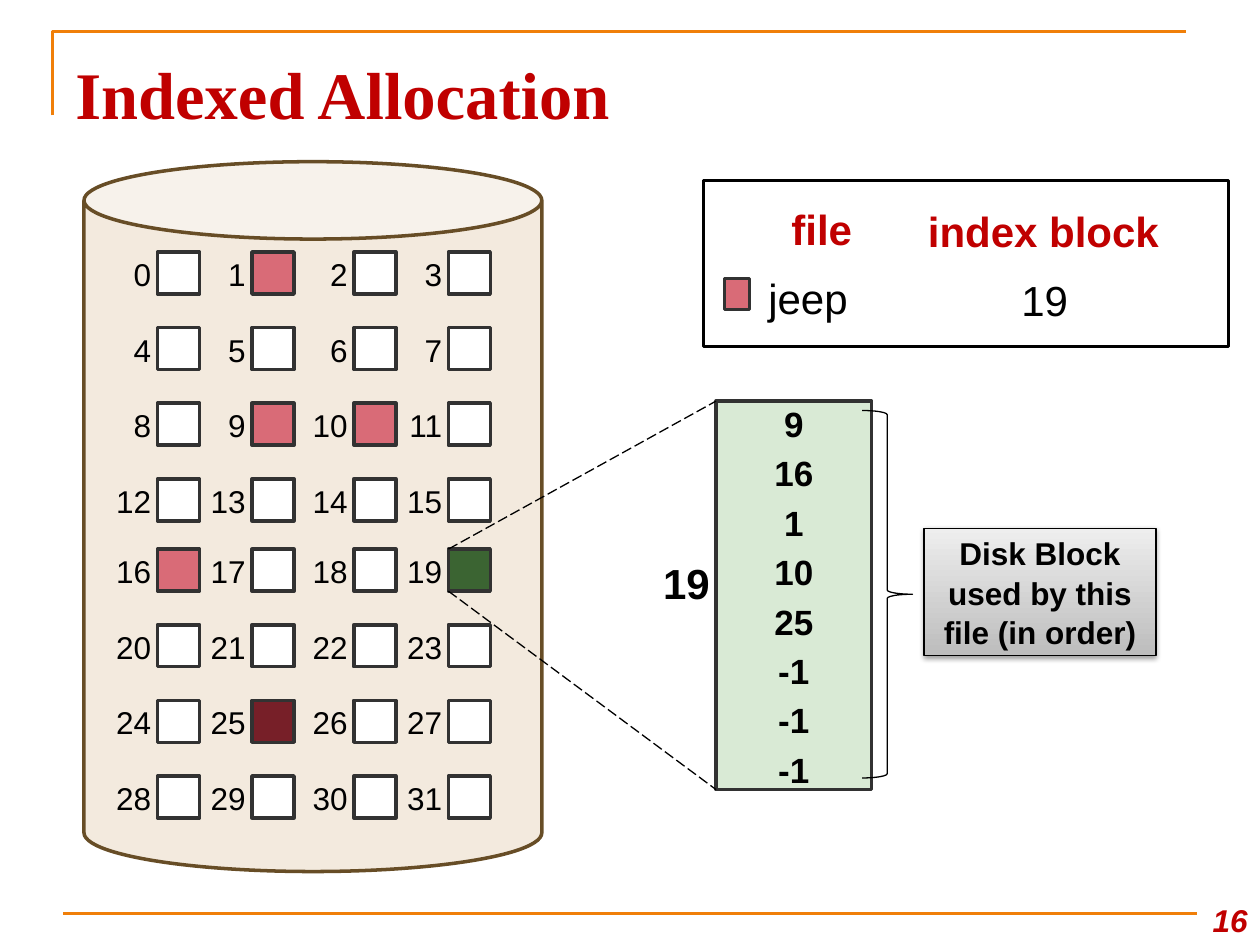
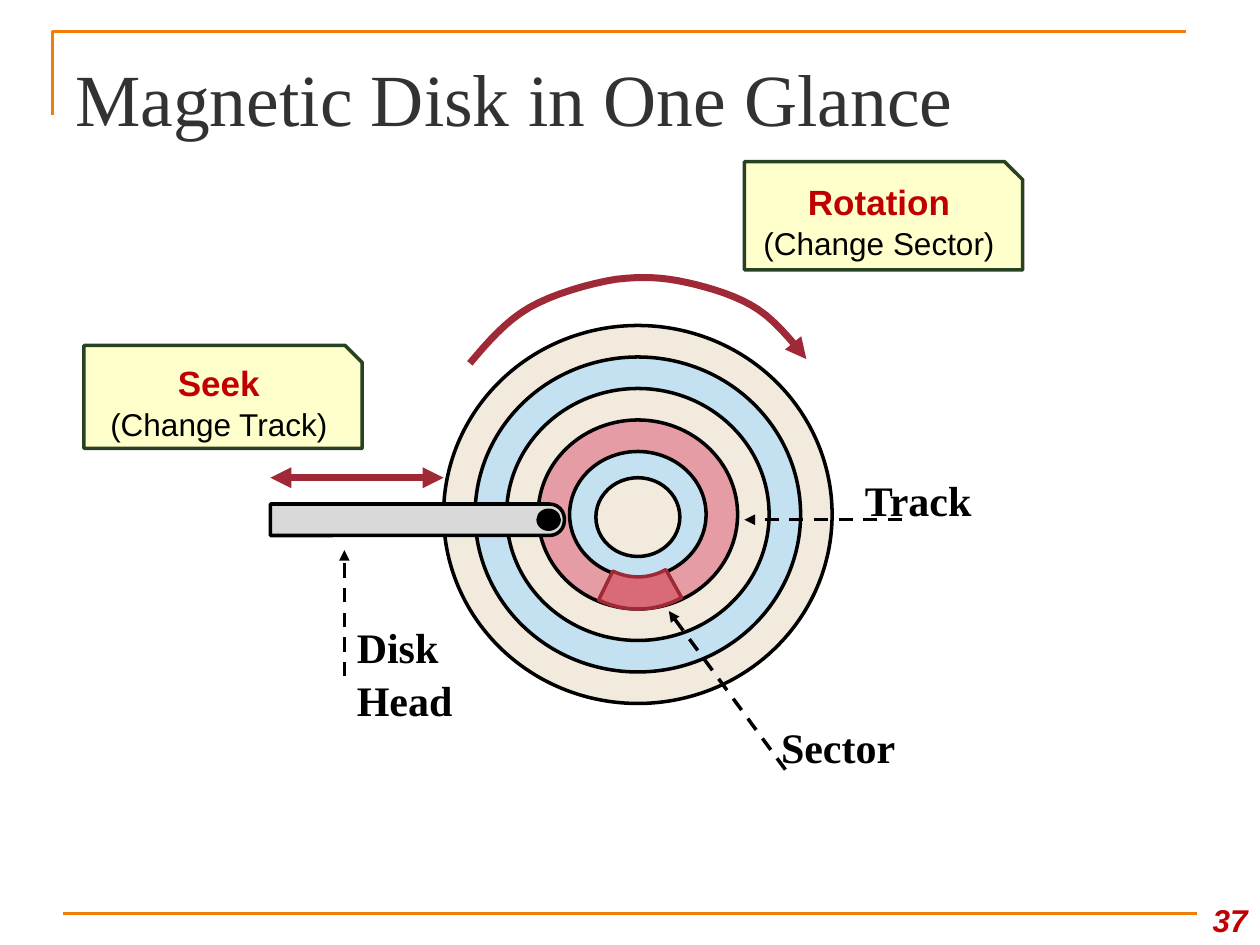
from collections import namedtuple
from dataclasses import dataclass

from lxml import etree
from pptx import Presentation
from pptx.dml.color import RGBColor
from pptx.enum.dml import MSO_LINE
from pptx.enum.shapes import MSO_CONNECTOR, MSO_SHAPE
from pptx.enum.text import MSO_ANCHOR, PP_ALIGN
from pptx.oxml.ns import qn
from pptx.util import Inches, Pt

RECT, CAN, BRACE = MSO_SHAPE.RECTANGLE, MSO_SHAPE.CAN, MSO_SHAPE.RIGHT_BRACE
OVAL, ARC = MSO_SHAPE.OVAL, MSO_SHAPE.BLOCK_ARC
ROUND_END, SNIPPED = MSO_SHAPE.ROUND_2_SAME_RECTANGLE, MSO_SHAPE.SNIP_1_RECTANGLE
STRAIGHT = MSO_CONNECTOR.STRAIGHT
DASH, LONG_DASH = MSO_LINE.DASH, MSO_LINE.LONG_DASH
TOP, MIDDLE, BOTTOM = MSO_ANCHOR.TOP, MSO_ANCHOR.MIDDLE, MSO_ANCHOR.BOTTOM
LEFT, CENTER, RIGHT = PP_ALIGN.LEFT, PP_ALIGN.CENTER, PP_ALIGN.RIGHT

# The slide is a grid of 120 columns by 90 rows of square cells
WIDTH, HEIGHT, COLUMNS = Inches(10), Inches(7.5), 120
CELL = WIDTH // COLUMNS


@dataclass(frozen=True)
class Theme:
    sans: str = "Arial"
    serif: str = "Times New Roman"
    orange: str = "F07F09"
    red: str = "C00000"
    crimson: str = "9F2936"
    maroon: str = "771F28"
    rose: str = "D96B77"
    pink: str = "E69CA4"
    sand: str = "F3EADE"
    brown: str = "674D26"
    sky: str = "C4E1F2"
    green: str = "3B6432"
    mint: str = "D9EAD5"
    pine: str = "274221"
    cream: str = "FFFFCC"
    silver: str = "D9D9D9"
    shade_dark: str = "BDBDBD"
    shade_light: str = "EEEEEE"
    charcoal: str = "323232"
    black: str = "000000"
    white: str = "FFFFFF"
    large: int = 24
    medium: int = 20
    small: int = 18
    leading: float = 1.05


THEME = Theme()


class Box(namedtuple("Box", "x y w h")):
    """An area of the grid; its contents are placed from its top left corner."""

    def area(self, x, y, w, h):
        return Box(self.x + x, self.y + y, w, h)

    def point(self, x, y):
        return self.x + x, self.y + y


def emu(*lengths):
    return [round(length * CELL) for length in lengths]


def colour(code):
    return RGBColor.from_string(code)


def write(shape, text, size=THEME.small, color=THEME.black, font=THEME.sans, bold=False,
          italic=False, align=LEFT, leading=THEME.leading, before=0, after=0, indent=0):
    """Add one paragraph to the shape."""
    frame = shape.text_frame
    para = frame.add_paragraph() if frame.text else frame.paragraphs[0]
    para.alignment, para.line_spacing = align, leading
    para.space_before, para.space_after = Pt(before), Pt(after)
    if indent:
        para._p.get_or_add_pPr().set("marL", str(emu(indent)[0]))
    span = para.add_run()
    span.text = text
    span.font.name, span.font.size = font, Pt(size)
    span.font.bold, span.font.italic = bold, italic
    span.font.color.rgb = colour(color)


def set_frame(shape, anchor, margins=(1.2, 0.6, 1.2, 0.6)):
    frame = shape.text_frame
    frame.word_wrap, frame.vertical_anchor = True, anchor
    (frame.margin_left, frame.margin_top,
     frame.margin_right, frame.margin_bottom) = emu(*margins)


def add_text(page, box, text, anchor=TOP, margins=(1.2, 0.6, 1.2, 0.6), **form):
    shape = page.shapes.add_textbox(*emu(*box))
    set_frame(shape, anchor, margins)
    write(shape, text, **form)
    return shape


def set_line(line, color, weight, dash=None, head=False, tail=False):
    line.color.rgb, line.width = colour(color), Pt(weight)
    if dash:
        line.dash_style = dash
    for end, wanted in (("a:headEnd", head), ("a:tailEnd", tail)):
        if wanted:
            etree.SubElement(line._get_or_add_ln(), qn(end), type="triangle")


def add_shape(page, kind, box, fill=None, line=THEME.black, weight=2, adjust=(), turn=0):
    shape = page.shapes.add_shape(kind, *emu(*box))
    shape.shadow.inherit = False
    shape.rotation = turn
    for index, value in enumerate(adjust):
        shape.adjustments[index] = value
    if fill:
        shape.fill.solid()
        shape.fill.fore_color.rgb = colour(fill)
    else:
        shape.fill.background()
    set_line(shape.line, line, weight)
    set_frame(shape, MIDDLE)
    return shape


def add_line(page, start, end, color=THEME.black, weight=2, **ends):
    line = page.shapes.add_connector(STRAIGHT, *emu(*start, *end))
    set_line(line.line, color, weight, **ends)
    etree.SubElement(line._element.spPr, qn("a:effectLst"))


def add_curve(page, points, color, weight, **ends):
    start, *others = [emu(*point) for point in points]
    builder = page.shapes.build_freeform(*start)
    builder.add_line_segments(others, close=False)
    shape = builder.convert_to_shape()
    shape.shadow.inherit = False
    shape.fill.background()
    set_line(shape.line, color, weight, **ends)


def add_page(deck, title, number, **title_form):
    """Blank page with the shared frame, title, footer rule and number."""
    page = deck.slides.add_slide(deck.slide_layouts[6])
    add_curve(page, [(5, 11), (5, 3), (113, 3)], THEME.orange, 1.5)
    add_line(page, (6, 87), (114, 87), THEME.orange, 1.5)
    add_text(page, Box(6, 3.6, 108, 9.4), title, margins=(1.2, 1.44, 1.2, 0),
             font=THEME.serif, leading=1, **title_form)
    add_text(page, Box(113, 84, 7, 6), str(number), anchor=BOTTOM, color=THEME.red,
             bold=True, italic=True, align=RIGHT, leading=1)
    return page


# ---- Indexed allocation ----

def block_box(can, number):
    """Square of a disk block: four to a row, in two pairs and two halves."""
    row, column = divmod(number, 4)
    return can.area(7 + 9 * column + 0.7 * (column >= 2),
                    8.6 + 7.2 * row - 0.5 * (row >= 4), 4, 4)


def draw_block_can(page, can, fills):
    add_shape(page, CAN, can, THEME.sand, THEME.brown, adjust=[0.169])
    for number in range(32):
        square = block_box(can, number)
        add_text(page, square.area(-6, 0, 6, 4), str(number), anchor=MIDDLE,
                 margins=(1.2, 0.6, 0.6, 0.6), align=RIGHT)
        add_shape(page, RECT, square, fills.get(number, THEME.white), THEME.charcoal)


def draw_directory(page, box):
    add_shape(page, RECT, box, THEME.white, weight=1.5)
    entries = [(box.area(5, 1.5, 18, 12.5), "file", 2.2, "jeep", 0),
               (box.area(20.2, 2.6, 25.4, 10.7), "index block", 0, "19", 8.9)]
    for column, heading, heading_indent, value, value_indent in entries:
        shape = add_text(page, column, heading, anchor=MIDDLE, size=THEME.large,
                         color=THEME.red, bold=True, indent=heading_indent)
        write(shape, value, size=THEME.large, indent=value_indent, before=9.5)
    add_shape(page, RECT, box.area(2, 9.3, 2.4, 3), THEME.rose, THEME.charcoal, 1.5)


def draw_index_block(page, box, block, entries):
    add_text(page, box.area(-8.2, 15.2, 8.2, 4), "19", anchor=MIDDLE,
             margins=(0, 0.6, 0.6, 0.6), size=THEME.large, bold=True, align=RIGHT)
    shape = add_shape(page, RECT, box, THEME.mint, THEME.charcoal)
    for entry in entries:
        write(shape, str(entry), size=THEME.medium, bold=True, align=CENTER, after=3)
    # Zoom lines from the block on the disk
    for block_edge, box_edge in ((0, 0), (block.h, box.h)):
        add_line(page, block.point(0, block_edge), box.point(0, box_edge),
                 weight=0.75, dash=LONG_DASH)
    add_shape(page, BRACE, box.area(13.9, 0.9, 4.8, 35), weight=0.75)


def draw_note(page, box, text):
    shape = add_shape(page, RECT, box, weight=0.75)
    shape.fill.gradient()
    shape.fill.gradient_angle = 90
    for stop, shade in zip(shape.fill.gradient_stops, (THEME.shade_dark, THEME.shade_light)):
        stop.color.rgb = colour(shade)
    # Soft shadow below
    effects = shape._element.spPr.find(qn("a:effectLst"))
    shadow = etree.SubElement(effects, qn("a:outerShdw"), blurRad=str(Pt(3)),
                              dist=str(Pt(1.6)), dir="5400000", rotWithShape="0")
    tint = etree.SubElement(shadow, qn("a:srgbClr"), val=THEME.black)
    etree.SubElement(tint, qn("a:alpha"), val="38000")
    write(shape, text, bold=True, align=CENTER)


def build_allocation(deck):
    page = add_page(deck, "Indexed Allocation", 16, size=38, color=THEME.red, bold=True)
    can = Box(8, 15.4, 43.6, 67.6)
    fills = dict.fromkeys((1, 9, 10, 16), THEME.rose)
    fills.update({25: THEME.maroon, 19: THEME.green})
    draw_block_can(page, can, fills)
    draw_directory(page, Box(67, 17.2, 50, 15.8))
    draw_index_block(page, Box(68.2, 38.2, 14.8, 37), block_box(can, 19),
                     [9, 16, 1, 10, 25, -1, -1, -1])
    draw_note(page, Box(88, 50.3, 22.1, 12.1), "Disk Block used by this file (in order)")


# ---- Magnetic disk ----

def draw_platter(page, box):
    rings = [THEME.sand, THEME.sky, THEME.sand, THEME.pink, THEME.sky]
    for index, fill in enumerate(rings):
        inset = 3 * index
        add_shape(page, OVAL, box.area(inset, inset, box.w - 2 * inset, box.h - 2 * inset), fill)
    add_shape(page, ARC, box.area(10, 10, 17, 17), THEME.rose, THEME.crimson,
              adjust=[144.42, 177.66, 0.18], turn=180)
    add_shape(page, OVAL, box.area(14.5, 14.5, 8, 7.5), THEME.sand)


def draw_arm(page, box):
    # Upright shape turned about its centre to lie in the box
    upright = box.area((box.w - box.h) / 2, (box.h - box.w) / 2, box.h, box.w)
    add_shape(page, ROUND_END, upright, THEME.silver, adjust=[0.471, 0], turn=90)
    add_shape(page, OVAL, box.area(box.w - 2.5, 0.6, 2, 1.8), THEME.black)


def bezier(a, b, c, d, share):
    rest = 1 - share
    return tuple(rest ** 3 * p + 3 * rest ** 2 * share * q + 3 * rest * share ** 2 * r
                 + share ** 3 * s for p, q, r, s in zip(a, b, c, d))


def draw_rotation_arrow(page, platter, steps=8):
    controls = [platter.point(*point) for point in (
        (2.5, 3.6), (4.2, 1.6), (5.9, -0.4), (8.15, -1.7), (10.4, -3), (13.9, -4),
        (16.4, -4.4), (18.95, -4.7), (20.9, -4.6), (23.15, -4.1), (25.4, -3.6),
        (28.1, -2.8), (30, -1.5), (31.9, -0.3), (34.55, 3.2), (34.55, 3.2))]
    points = controls[:1]
    for first in range(0, len(controls) - 1, 3):
        points += [bezier(*controls[first:first + 4], step / steps)
                   for step in range(1, steps + 1)]
    add_curve(page, points, THEME.crimson, 4, tail=True)


def draw_pointer(page, start, end, box, text):
    add_line(page, start, end, dash=DASH, tail=True)
    add_text(page, box, text, size=THEME.large, font=THEME.serif, bold=True)


def draw_caption(page, box, heading, detail):
    shape = add_shape(page, SNIPPED, box, THEME.cream, THEME.pine)
    write(shape, heading, size=THEME.medium, color=THEME.red, bold=True, align=CENTER)
    write(shape, detail, align=CENTER)


def build_disk(deck):
    page = add_page(deck, "Magnetic Disk in One Glance", 37, size=42, color=THEME.charcoal)
    platter = Box(42.25, 31, 37, 36)
    arm = Box(25.75, 48, 28, 3)
    draw_platter(page, platter)
    draw_arm(page, arm)
    draw_rotation_arrow(page, platter)
    add_line(page, arm.point(0, -2.5), platter.point(0, 14.5), THEME.crimson, 4,
             head=True, tail=True)
    # Names of the disk's components
    draw_pointer(page, (74.8, 73.3), (63.7, 58.2), Box(73.2, 67.9, 14, 6), "Sector")
    draw_pointer(page, (85.9, 49.5), (70.9, 49.5), Box(81.2, 44.4, 14, 6), "Track")
    draw_pointer(page, (32.8, 64.4), (32.8, 52.4), Box(32.8, 58.4, 12.7, 10.9), "Disk Head")
    draw_caption(page, Box(70.9, 15.4, 26.5, 10.3), "Rotation", "(Change Sector)")
    draw_caption(page, Box(8, 32.9, 26.5, 9.8), "Seek", "(Change Track)")


def main():
    deck = Presentation()
    deck.slide_width, deck.slide_height = WIDTH, HEIGHT
    build_allocation(deck)
    build_disk(deck)
    deck.save("out.pptx")


if __name__ == "__main__":
    main()
